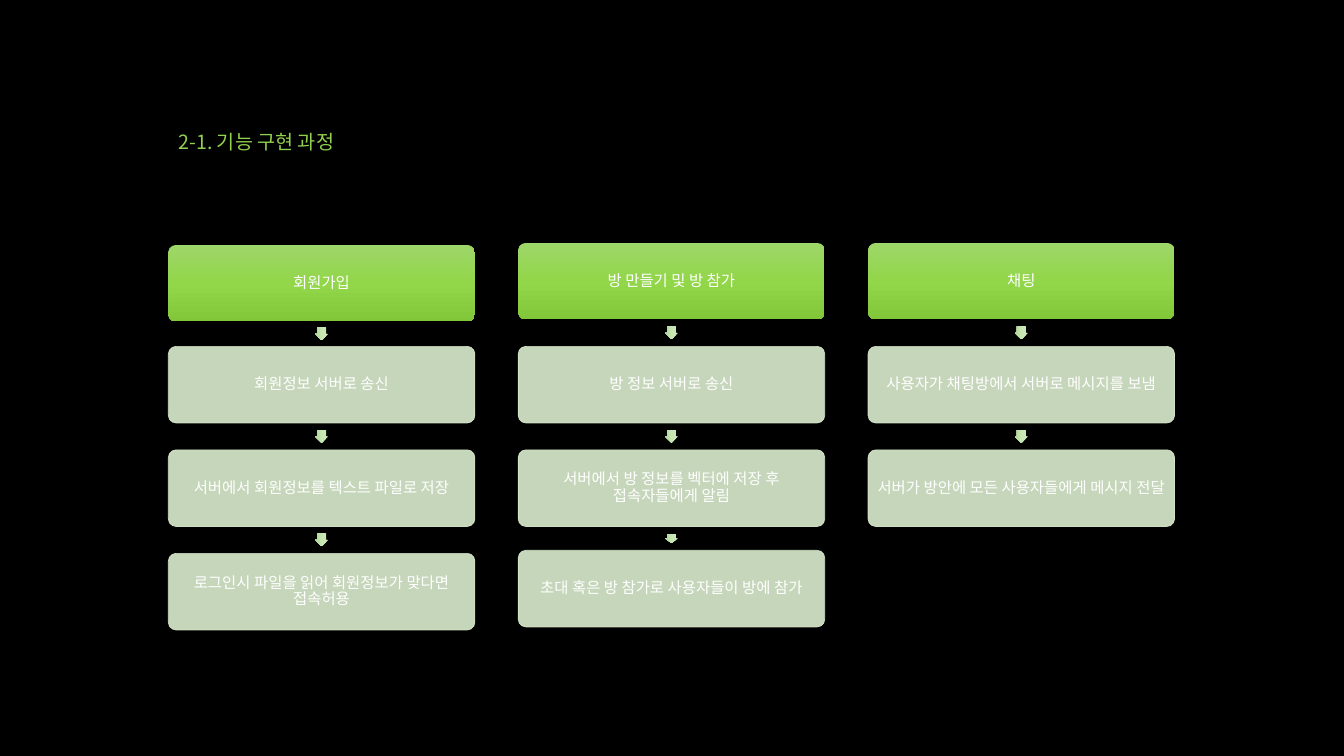
"""Builds a slide of three step-by-step feature flows."""
from lxml.etree import SubElement
from pptx import Presentation
from pptx.dml.color import RGBColor
from pptx.enum.shapes import MSO_SHAPE as Shape
from pptx.enum.text import MSO_ANCHOR as Anchor, PP_ALIGN as Align
from pptx.oxml.ns import qn
from pptx.util import Inches, Pt

COLORS = {"back": "000000", "title": "92D050", "text": "FFFFFF", "step": "DCEED0"}
HEAD_FADE = ("9ED669", "92D64A", "82C63A")
ARROW_FADE = ("CFE9BD", "C7E7B0", "B0D199")
FLOWS = [
    [("회원가입", 0.02), ("회원정보 서버로 송신", 0),
     ("서버에서 회원정보를 텍스트 파일로 저장", 0),
     ("로그인시 파일을 읽어 회원정보가 맞다면 접속허용", 0)],
    [("방 만들기 및 방 참가", 0), ("방 정보 서버로 송신", 0),
     ("서버에서 방 정보를 벡터에 저장 후 접속자들에게 알림", 0),
     ("초대 혹은 방 참가로 사용자들이 방에 참가", -0.03)],
    [("채팅", 0), ("사용자가 채팅방에서 서버로 메시지를 보냄", 0),
     ("서버가 방안에 모든 사용자들에게 메시지 전달", 0)],
]


class FlowSlide:
    """Holds the style, the grid and the current slide."""

    font = "Noto Sans CJK KR"
    left, top = 1.67, 2.41
    column, row = 3.47, (5.49 - 2.41) / 3
    width, height = 3.04, 0.76

    def __init__(self, deck):
        self.page = deck.slides.add_slide(deck.slide_layouts[5])
        self.paint(self.page.background.fill, "back")

    def paint(self, fill, color):
        fill.solid()
        fill.fore_color.rgb = RGBColor.from_string(COLORS[color])

    def fade(self, shape, colors):
        shape.fill.gradient()
        gradient = shape._element.spPr.find(qn("a:gradFill"))
        for child in list(gradient):
            gradient.remove(child)
        stops = SubElement(gradient, qn("a:gsLst"))
        for index, color in enumerate(colors):
            stop = SubElement(stops, qn("a:gs"), pos=str(index * 50000))
            SubElement(stop, qn("a:srgbClr"), val=color)
        SubElement(gradient, qn("a:lin"), ang="5400000", scaled="0")

    def add_text(self, frame, text, size, color, align):
        frame.word_wrap = True
        para = frame.paragraphs[0]
        para.alignment = align
        para.line_spacing = 0.9
        span = para.add_run()
        span.text = text
        span.font.size = Pt(size)
        span.font.name = self.font
        span.font.color.rgb = RGBColor.from_string(COLORS[color])
        SubElement(span.font._element, qn("a:ea"), typeface=self.font)

    def title(self, text):
        title = self.page.shapes.title
        title.left, title.top = Inches(self.left), Inches(0.33)
        title.width, title.height = Inches(10), Inches(1.25)
        title.text_frame.vertical_anchor = Anchor.BOTTOM
        self.add_text(title.text_frame, text, 14, "title", Align.LEFT)

    def shape(self, kind, left, top, width, height, adjustments):
        shape = self.page.shapes.add_shape(
            kind, Inches(left), Inches(top), Inches(width), Inches(height))
        shape.shadow.inherit = False
        for index, value in enumerate(adjustments):
            shape.adjustments[index] = value
        return shape

    def box(self, column, top, text, is_head):
        box = self.shape(Shape.ROUNDED_RECTANGLE, self.left + column * self.column,
                         top, self.width, self.height, [0.1])
        if is_head:
            self.fade(box, HEAD_FADE)
            box.line.fill.background()
        else:
            self.paint(box.fill, "step")
            self.paint(box.line.fill, "step")
            box.line.width = Pt(0.5)
            for color in box._element.spPr.iter(qn("a:srgbClr")):
                SubElement(color, qn("a:alpha"), val="90000")
        frame = box.text_frame
        frame.vertical_anchor = Anchor.MIDDLE
        frame.margin_left = frame.margin_right = Inches(0.02)
        frame.margin_top = frame.margin_bottom = Inches(0.02)
        self.add_text(frame, text, 11, "text", Align.CENTER)

    def arrow(self, column, middle, length):
        center = self.left + column * self.column + self.width / 2
        arrow = self.shape(Shape.RIGHT_ARROW, center - length / 2, middle - 0.13 / 2,
                           length, 0.13, [0.67, 0.5])
        arrow.rotation = 90
        self.fade(arrow, ARROW_FADE)
        arrow.line.fill.background()

    def flow(self, column, steps):
        bottom = None
        for row, (text, nudge) in enumerate(steps):
            top = self.top + row * self.row + nudge
            if row:
                self.arrow(column, (bottom + top) / 2, 0.09 if nudge else 0.13)
            self.box(column, top, text, row == 0)
            bottom = top + self.height


def main():
    deck = Presentation()
    deck.slide_width, deck.slide_height = Inches(13.33), Inches(7.5)
    slide = FlowSlide(deck)
    slide.title("2-1. 기능 구현 과정")
    for column, steps in enumerate(FLOWS):
        slide.flow(column, steps)
    deck.save("out.pptx")


if __name__ == "__main__":
    main()
